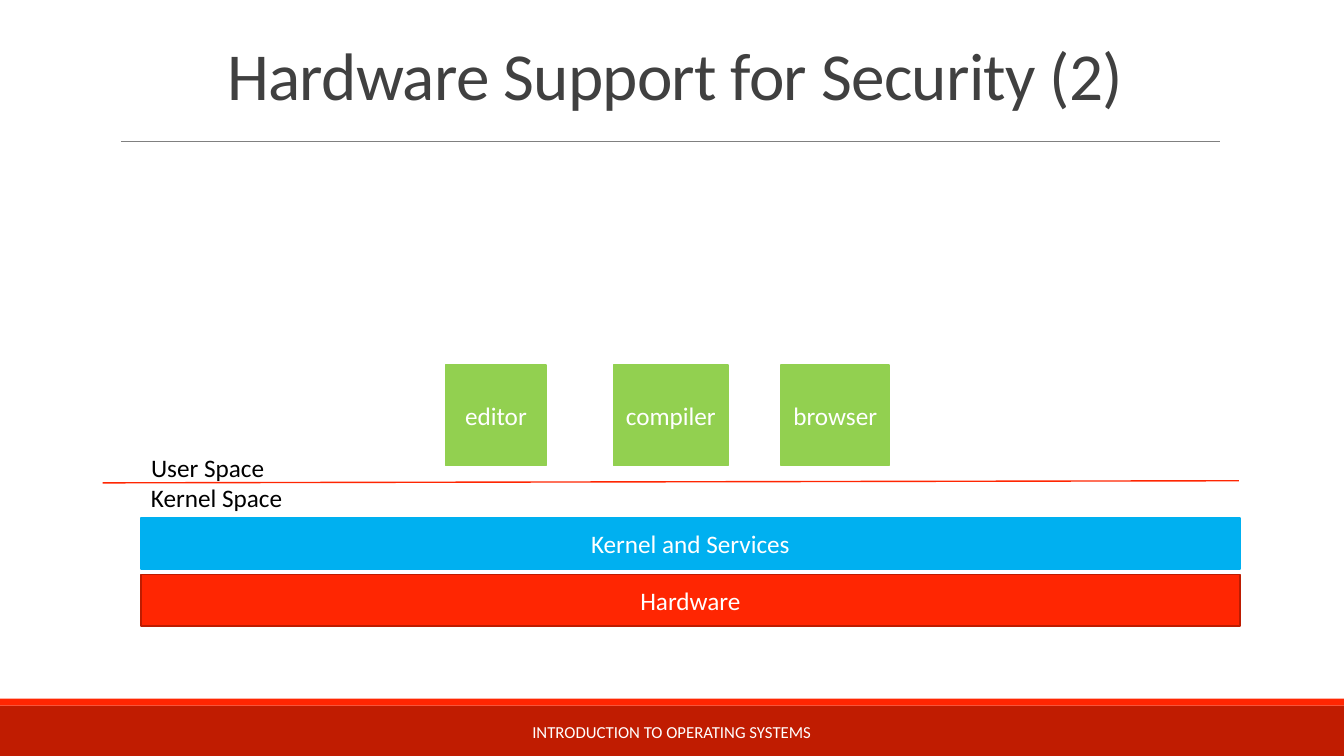
from pptx import Presentation
from pptx.dml.color import RGBColor
from pptx.enum.shapes import MSO_CONNECTOR as CONNECTOR, MSO_SHAPE as SHAPE
from pptx.enum.text import MSO_ANCHOR as ANCHOR, MSO_AUTO_SIZE as AUTO, PP_ALIGN as ALIGN
from pptx.oxml.ns import qn
from pptx.util import Pt
from lxml import etree

# Content
TITLE = "Hardware Support for Security (2)"
FOOTER = "INTRODUCTION TO OPERATING SYSTEMS"
BANDS = [(504, 36, "C01C01"), (499, 5, "FF2602")]  # top, height, fill
LAYERS = [  # text, top, fill, line
    ("Kernel and Services", 370, "00B0F0", "00B0F0"),
    ("Hardware", 410.4, "FF2602", "BD1C01"),
]
APPS = [("editor", 72), ("compiler", 82), ("browser", 77)]  # text, width
SPACES = [("User Space", 319.7, 97.2), ("Kernel Space", 341.3, 110.2)]  # text, top, width
LINES = [  # from, to, colour, width
    ((86.4, 100.8), (871.2, 100.8), "808080", 0.5),
    ((73.4, 344.9), (884.9, 343.4), "FF2602", 1),
]

SLIDE_W, SLIDE_H = 960, 540
LEFT, LAYER_W, LAYER_H = 100.8, 784.8, 36.7
APP_LEFT, APP_TOP, APP_H, APP_PITCH = 318.3, 260.6, 72, 119.9


def rgb(color):
    return RGBColor.from_string(color)


def write(sp, text, size, color, align=ALIGN.CENTER, anchor=ANCHOR.MIDDLE, wrap=True):
    tf = sp.text_frame
    tf.word_wrap = wrap
    tf.vertical_anchor = anchor
    p = tf.paragraphs[0]
    p.text = text
    p.alignment = align
    p.font.name = "Calibri"
    p.font.size = Pt(size)
    p.font.color.rgb = rgb(color)
    return p


def add_box(s, left, top, width, height, fill, line=None, text=None):
    sp = s.shapes.add_shape(SHAPE.RECTANGLE, Pt(left), Pt(top), Pt(width), Pt(height))
    sp.shadow.inherit = False
    sp.fill.solid()
    sp.fill.fore_color.rgb = rgb(fill)
    if line:
        sp.line.color.rgb = rgb(line)
        sp.line.width = Pt(1.25)
    else:
        sp.line.fill.background()
    if text:
        write(sp, text, 18, "FFFFFF")


def add_line(s, start, end, color, width):
    cx = s.shapes.add_connector(CONNECTOR.STRAIGHT, *map(Pt, start + end))
    cx.line.color.rgb = rgb(color)
    cx.line.width = Pt(width)
    etree.SubElement(cx._element.spPr, qn("a:effectLst"))


def main():
    prs = Presentation()
    prs.slide_width, prs.slide_height = Pt(SLIDE_W), Pt(SLIDE_H)
    s = prs.slides.add_slide(prs.slide_layouts[5])

    # Title
    title = s.shapes.title
    title.left, title.top, title.width, title.height = Pt(86.4), Pt(22.3), Pt(792), Pt(69.1)
    p = write(title, TITLE, 48, "404040")
    title.text_frame.auto_size = AUTO.NONE
    p.line_spacing = 0.85
    p.runs[0]._r.get_or_add_rPr().set("spc", "-50")

    # Footer bands and text
    for top, height, fill in BANDS:
        add_box(s, 0, top, SLIDE_W, height, fill)
    footer = s.shapes.add_textbox(Pt(290.2), Pt(508.3), Pt(379.4), Pt(28.8))
    write(footer, FOOTER, 12, "FFFFFF")

    # System layers
    for text, top, fill, line in LAYERS:
        add_box(s, LEFT, top, LAYER_W, LAYER_H, fill, line, text)

    # Applications
    for i, (text, width) in enumerate(APPS):
        add_box(s, APP_LEFT + i * APP_PITCH, APP_TOP, width, APP_H, "92D050", "92D050", text)

    # Title rule and the border between user and kernel space
    for line in LINES:
        add_line(s, *line)

    # Space labels
    for text, top, width in SPACES:
        label = s.shapes.add_textbox(Pt(LEFT), Pt(top), Pt(width), Pt(28.8))
        write(label, text, 18, "000000", ALIGN.LEFT, ANCHOR.TOP, wrap=False)
        label.text_frame.auto_size = AUTO.SHAPE_TO_FIT_TEXT

    prs.save("out.pptx")


if __name__ == "__main__":
    main()
